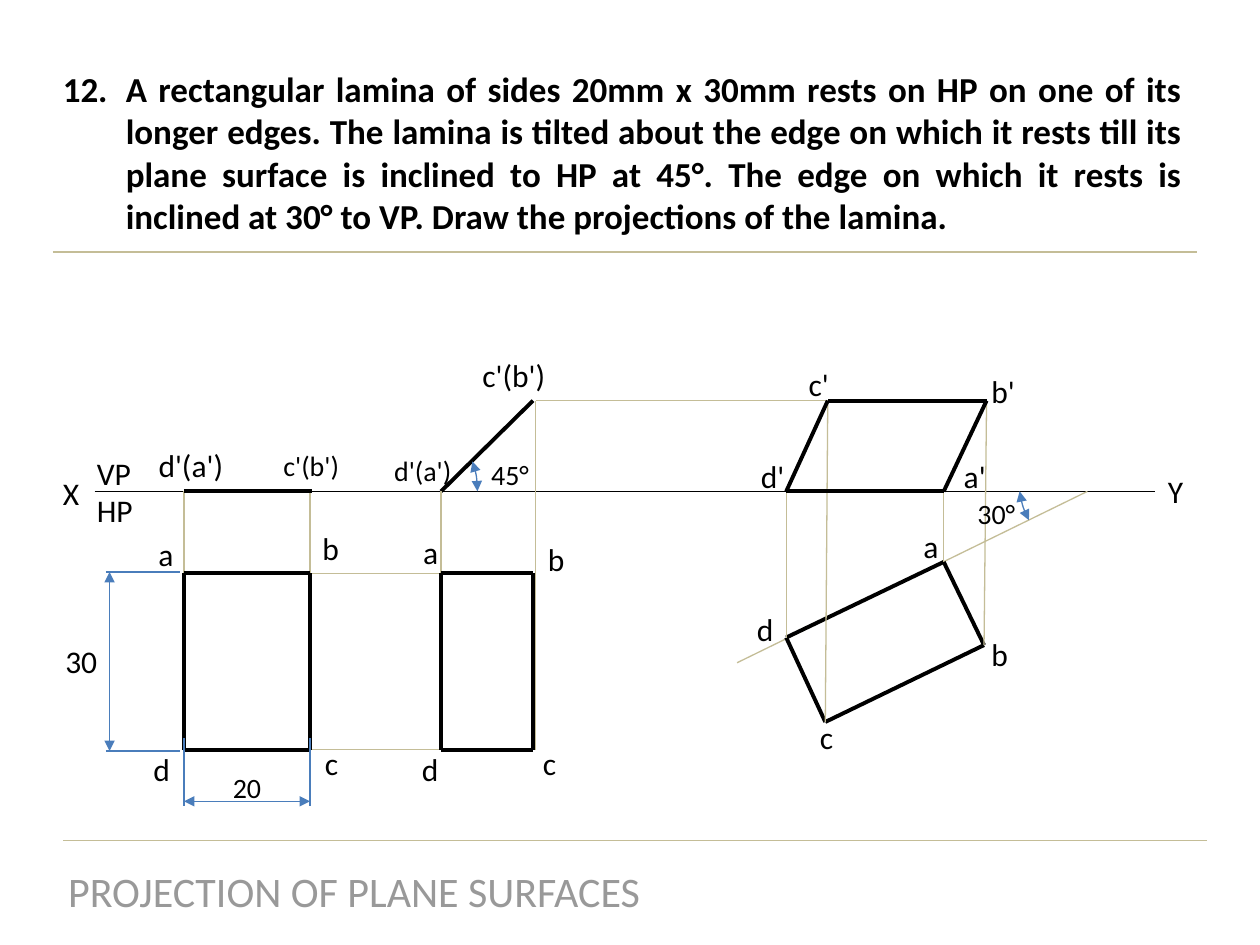
from typing import NamedTuple

from lxml import etree
from pptx import Presentation
from pptx.dml.color import RGBColor
from pptx.enum.shapes import MSO_CONNECTOR, MSO_SHAPE
from pptx.enum.text import PP_ALIGN
from pptx.oxml.ns import qn
from pptx.util import Inches, Pt

STRAIGHT = MSO_CONNECTOR.STRAIGHT
ARC = MSO_SHAPE.ARC
LEFT, CENTER, JUSTIFY = PP_ALIGN.LEFT, PP_ALIGN.CENTER, PP_ALIGN.JUSTIFY

WIDTH, HEIGHT = Inches(10), Inches(7.5)
COLUMNS, ROWS = 100, 75
BLACK, TAN, BLUE, GRAY = "000000", "C4BD97", "4A7DBB", "999999"
FONT = "Calibri"
THIN, BOLD = 0.75, 2.25


class Point(NamedTuple):
    col: float
    row: float


class Line(NamedTuple):
    start: Point
    end: Point
    color: str = TAN
    weight: float = THIN
    arrows: bool = False


class Label(NamedTuple):
    text: str
    col: float
    row: float
    width: float = 3.4
    size: int = 18


class Angle(NamedTuple):
    col: float
    row: float
    rotation: float


def x(col: float) -> int:
    return round(WIDTH * col / COLUMNS)


def y(row: float) -> int:
    return round(HEIGHT * row / ROWS)


def rgb(color: str) -> RGBColor:
    return RGBColor.from_string(color)


def add_arrows(sp) -> None:
    ln = sp.line._get_or_add_ln()
    for end in ("a:headEnd", "a:tailEnd"):
        etree.SubElement(ln, qn(end), type="triangle")


def style_line(sp, color: str, weight: float, arrows: bool) -> None:
    sp.line.color.rgb = rgb(color)
    sp.line.width = Pt(weight)
    if arrows:
        add_arrows(sp)


def draw_line(slide, line: Line) -> None:
    (x1, y1), (x2, y2) = line.start, line.end
    sp = slide.shapes.add_connector(STRAIGHT, x(x1), y(y1), x(x2), y(y2))
    style_line(sp, line.color, line.weight, line.arrows)
    etree.SubElement(sp._element.spPr, qn("a:effectLst"))


def draw_angle(slide, angle: Angle) -> None:
    sp = slide.shapes.add_shape(ARC, x(angle.col), y(angle.row), x(2.6), y(6.6))
    sp.adjustments[0] = 174.466
    sp.adjustments[1] = 0
    sp.rotation = angle.rotation
    sp.shadow.inherit = False
    sp.fill.background()
    style_line(sp, BLUE, THIN, True)


def number_paragraph(p, start: int) -> None:
    pPr = p._p.get_or_add_pPr()
    pPr.set("marL", str(Inches(0.5)))
    pPr.set("indent", str(-Inches(0.5)))
    clr = etree.SubElement(pPr, qn("a:buClr"))
    etree.SubElement(clr, qn("a:srgbClr"), val=BLACK)
    etree.SubElement(pPr, qn("a:buAutoNum"), type="arabicPeriod", startAt=str(start))


def add_text(slide, text: str, col: float, row: float, width: float, height: float = 4, *,
             size: int = 18, color: str = BLACK, bold: bool = False, align=LEFT,
             wrap: bool = False, number: int = 0) -> None:
    tf = slide.shapes.add_textbox(x(col), y(row), x(width), y(height)).text_frame
    tf.word_wrap = wrap
    for i, part in enumerate(text.split("\n")):
        p = tf.add_paragraph() if i else tf.paragraphs[0]
        p.alignment = align
        if number:
            number_paragraph(p, number)
        r = p.add_run()
        r.text = part
        r.font.name = FONT
        r.font.size = Pt(size)
        r.font.bold = bold
        r.font.color.rgb = rgb(color)


def outline(*points: Point) -> list[Line]:
    return [Line(a, b, BLACK, BOLD) for a, b in zip(points, points[1:] + points[:1])]


def rectangle(left: float, right: float) -> list[Line]:
    return outline(Point(left, EDGE_TOP), Point(right, EDGE_TOP),
                   Point(right, EDGE_BOTTOM), Point(left, EDGE_BOTTOM))


def vertical(col: float, top: float, bottom: float, color: str = TAN, arrows: bool = False) -> Line:
    return Line(Point(col, top), Point(col, bottom), color, THIN, arrows)


def horizontal(row: float, left: float, right: float, color: str = TAN,
               weight: float = THIN, arrows: bool = False) -> Line:
    return Line(Point(left, row), Point(right, row), color, weight, arrows)


XY, RAISED = 39, 31.8
EDGE_TOP, EDGE_BOTTOM = 45.5, 59.5
FLAT_LEFT, FLAT_RIGHT = 14.6, 24.6
TILT_LEFT, TILT_RIGHT = 35, 42.3
PLAN_A, PLAN_B = Point(74.9, 44.6), Point(78.1, 51.2)
PLAN_C, PLAN_D = Point(65.5, 57.3), Point(62.4, 50.6)
ELEV_A, ELEV_B = Point(74.9, XY), Point(78.3, RAISED)
ELEV_C, ELEV_D = Point(65.7, RAISED), Point(62.4, XY)

RULES = [horizontal(66.7, 5, 95.8), horizontal(20, 4.2, 95)]

FLAT_VIEW = [
    *[vertical(col, XY, EDGE_TOP) for col in (FLAT_LEFT, FLAT_RIGHT)],
    horizontal(XY, FLAT_LEFT, FLAT_RIGHT + 0.2, BLACK, BOLD),
    *rectangle(FLAT_LEFT, FLAT_RIGHT),
]

DIMENSIONS = [
    *[horizontal(row, 8.4, FLAT_LEFT - 0.3, BLUE) for row in (45.4, 59.6)],
    *[vertical(col, 58.6, 64, BLUE) for col in (FLAT_LEFT, FLAT_RIGHT)],
    vertical(8.7, 45.4, 59.6, BLUE, arrows=True),
    horizontal(63.6, FLAT_LEFT, FLAT_RIGHT, BLUE, arrows=True),
]

TILTED_VIEW = [
    Line(Point(TILT_LEFT, XY), Point(TILT_RIGHT, RAISED), BLACK, BOLD),
    vertical(42.5, RAISED, EDGE_BOTTOM),
    vertical(TILT_LEFT, XY, EDGE_BOTTOM),
    *[horizontal(row, 24.8, 42.5) for row in (EDGE_TOP, EDGE_BOTTOM)],
    *rectangle(TILT_LEFT, TILT_RIGHT),
]

FINAL_VIEW = [
    Line(Point(86.3, XY), Point(58.5, 52.6)),
    *outline(PLAN_A, PLAN_B, PLAN_C, PLAN_D),
    horizontal(RAISED, 42.5, ELEV_B.col),
    *[Line(plan, elev) for plan, elev in zip(
        (PLAN_A, PLAN_B, PLAN_C, PLAN_D), (ELEV_A, ELEV_B, ELEV_C, ELEV_D))],
    *outline(ELEV_A, ELEV_B, ELEV_C, ELEV_D),
]

LINES = [*RULES, horizontal(XY, 7.5, 91.7, BLACK),
         *FLAT_VIEW, *DIMENSIONS, *TILTED_VIEW, *FINAL_VIEW]

ANGLES = [Angle(35.3, 35.7, 0), Angle(80.9, 35.5, 171.6)]

LABELS = [
    Label("X", 4, 37.1), Label("Y", 91.7, 37), Label("VP\nHP", 6.7, 35.5, 4.9),
    Label("30", 4.2, 50.5, 4.6), Label("20", 17.5, 60.7, 4.3, 16),
    Label("45°", 38, 35.8, 5.6, 16), Label("30°", 76.6, 38.9, 5.6, 16),
    Label("a", 11.6, 42), Label("b", 24.6, 41.5),
    Label("c", 24.8, 58.6), Label("d", 11.2, 59),
    Label("a", 32.6, 41.8), Label("b", 42.5, 42.4),
    Label("c", 42.1, 58.6), Label("d", 32.5, 59),
    Label("a", 72.3, 41.3), Label("b", 77.7, 49.9),
    Label("c", 64.1, 56.5), Label("d", 59.1, 47.9),
    Label("d'(a')", 11.6, 34.9, 7.2), Label("c'(b')", 21.5, 35.1, 6.5, 16),
    Label("d'(a')", 30.3, 35.5, 6.6, 16), Label("c'(b')", 37.3, 27.8, 7.1),
    Label("a'", 75.5, 35.8, 3.9), Label("b'", 77.7, 29, 3.9),
    Label("c'", 63.2, 28.5, 3.6), Label("d'", 59.4, 35.8, 3.9),
]

PROBLEM = ("A rectangular lamina of sides 20mm x 30mm rests on HP on one of its longer edges. "
           "The lamina is tilted about the edge on which it rests till its plane surface is "
           "inclined to HP at 45°. The edge on which it rests is inclined at 30° to VP. "
           "Draw the projections of the lamina.")


def main() -> None:
    prs = Presentation()
    prs.slide_width, prs.slide_height = WIDTH, HEIGHT
    s = prs.slides.add_slide(prs.slide_layouts[6])
    add_text(s, PROBLEM, 4, 4.9, 90.8, 14.5, size=20, bold=True,
             align=JUSTIFY, wrap=True, number=12)
    add_text(s, "PROJECTION OF PLANE SURFACES", 4.2, 68.2, 47.8, 5,
             size=24, color=GRAY, align=CENTER)
    for line in LINES:
        draw_line(s, line)
    for angle in ANGLES:
        draw_angle(s, angle)
    for label in LABELS:
        height = 7.1 if "\n" in label.text else 4
        add_text(s, label.text, label.col, label.row, label.width, height, size=label.size)
    prs.save("out.pptx")


if __name__ == "__main__":
    main()
